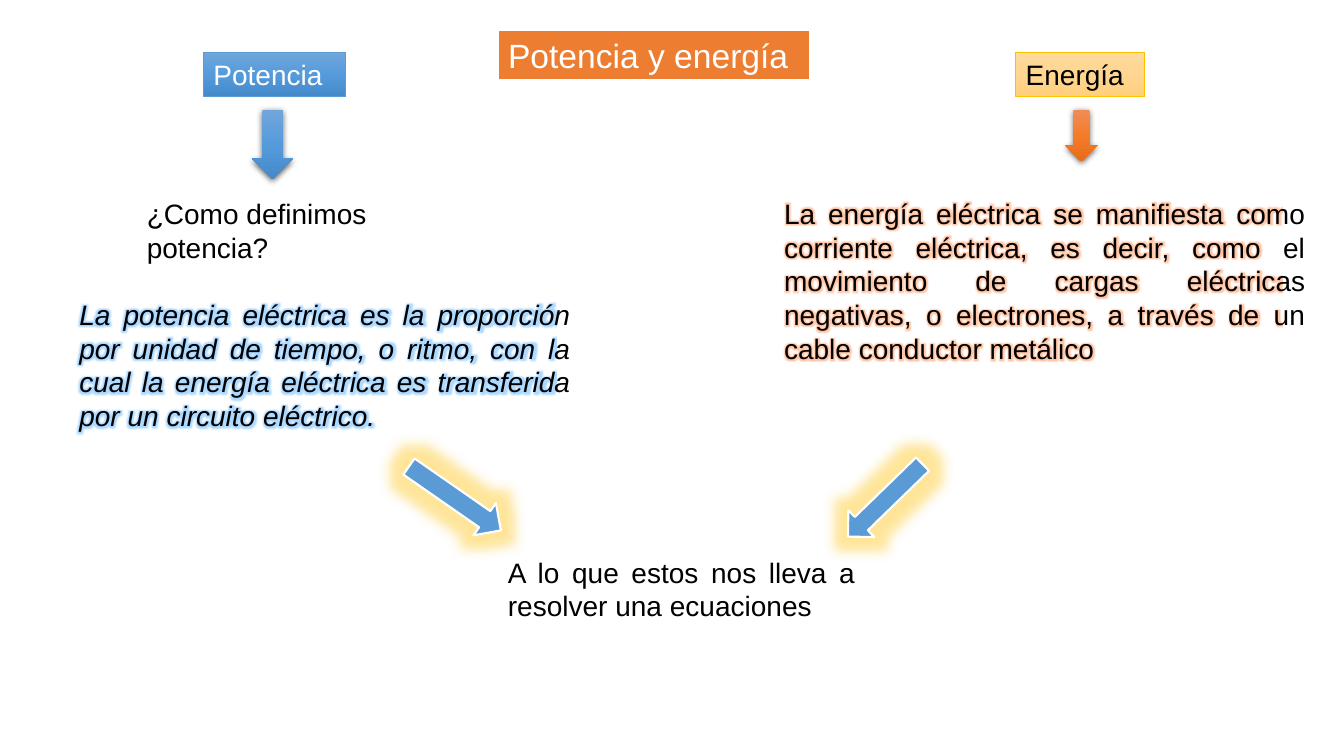
from copy import deepcopy
from dataclasses import dataclass

from lxml.etree import SubElement
from pptx import Presentation
from pptx.dml.color import RGBColor
from pptx.enum.shapes import MSO_SHAPE
from pptx.enum.text import MSO_ANCHOR, MSO_AUTO_SIZE, PP_ALIGN
from pptx.oxml import parse_xml
from pptx.oxml.ns import nsdecls, qn
from pptx.util import Cm, Emu, Pt


@dataclass(frozen=True)
class Theme:
    font: str = "Arial"
    head: int = 24
    body: int = 20
    dark: str = "000000"
    light: str = "FFFFFF"
    orange: str = "ED7D31"
    blue: str = "5B9BD5"
    gold: str = "FFC000"
    blues: tuple[str, ...] = ("71A6DB", "559BDB", "448ACA")
    reds: tuple[str, ...] = ("F18C57", "F67B28", "E56C19")
    golds: tuple[str, ...] = ("FFDB9E", "FFD590", "FFD07C")
    blue_glow: str = "31A0FF"
    red_glow: str = "FF6E1F"


THEME = Theme()


@dataclass(frozen=True)
class Box:
    left: float
    top: float
    width: float
    height: float

    def place(self) -> tuple[Emu, Emu, Emu, Emu]:
        return Cm(self.left), Cm(self.top), Cm(self.width), Cm(self.height)


@dataclass(frozen=True)
class Label:
    text: str
    box: Box
    shades: tuple[str, ...]
    edge: str
    ink: str


@dataclass(frozen=True)
class Note:
    text: str
    box: Box
    align: PP_ALIGN = PP_ALIGN.JUSTIFY
    slant: bool = False
    glow: str = ""


@dataclass(frozen=True)
class Arrow:
    box: Box
    shades: tuple[str, ...] = ()
    turn: float = 0


LABELS = (
    Label("Potencia", Box(5.13, 1.32, 3.58, 1.12), THEME.blues, THEME.blue, THEME.light),
    Label("Energía", Box(25.6, 1.32, 3.25, 1.12), THEME.golds, THEME.gold, THEME.dark),
)
NOTES = (
    Note("¿Como definimos potencia?", Box(3.45, 4.83, 8, 1.96), PP_ALIGN.LEFT),
    Note("La potencia eléctrica es la proporción por unidad de tiempo, o ritmo, "
         "con la cual la energía eléctrica es transferida por un circuito eléctrico.",
         Box(1.75, 7.37, 12.88, 3.68), slant=True, glow=THEME.blue_glow),
    Note("La energía eléctrica se manifiesta como corriente eléctrica, es decir, "
         "como el movimiento de cargas eléctricas negativas, o electrones, "
         "a través de un cable conductor metálico",
         Box(19.51, 4.83, 13.64, 4.52), glow=THEME.red_glow),
    Note("A lo que estos nos lleva a resolver una ecuaciones",
         Box(12.55, 13.87, 9.25, 1.96)),
)
ARROWS = (
    Arrow(Box(6.35, 2.77, 1.04, 1.75), THEME.blues),
    Arrow(Box(26.85, 2.77, 0.81, 1.3), THEME.reds),
    Arrow(Box(10.97, 11.15, 0.99, 2.82), turn=304.8),
    Arrow(Box(21.84, 11.3, 0.94, 2.62), turn=45.8),
)


def tint(tone: str) -> RGBColor:
    return RGBColor.from_string(tone)


def effect(kind: str, tone: str, alpha: int, **sizes: int):
    holder = parse_xml(f"<a:effectLst {nsdecls('a')}/>")
    item = SubElement(holder, qn(f"a:{kind}"), {k: str(v) for k, v in sizes.items()})
    shade = SubElement(item, qn("a:srgbClr"), val=tone)
    SubElement(shade, qn("a:alpha"), val=str(alpha * 1000))
    return holder


def glow(tone: str, size: int):
    return effect("glow", tone, 40, rad=Pt(size))


def paint(shape, shades: tuple[str, ...]) -> None:
    fill = shape.fill
    fill.gradient()
    fill.gradient_angle = 270
    first = shape._element.spPr.find(".//" + qn("a:gs"))
    first.addnext(deepcopy(first))
    for step, (stop, tone) in enumerate(zip(fill.gradient_stops, shades)):
        stop.color.rgb = tint(tone)
        stop.position = step / 2


def edge(shape, tone: str, width: float) -> None:
    shape.line.color.rgb = tint(tone)
    shape.line.width = Pt(width)


def write(shape, text: str, size: int, ink: str, align: PP_ALIGN = PP_ALIGN.LEFT):
    frame = shape.text_frame
    frame.word_wrap = True
    frame.auto_size = MSO_AUTO_SIZE.NONE
    frame.vertical_anchor = MSO_ANCHOR.TOP
    part = frame.paragraphs[0]
    part.alignment = align
    run = part.add_run()
    run.text = text
    run.font.name = THEME.font
    run.font.size = Pt(size)
    run.font.color.rgb = tint(ink)
    return run


def add_title(slide, text: str, box: Box) -> None:
    title = slide.shapes.title
    title.left, title.top, title.width, title.height = box.place()
    title.fill.solid()
    title.fill.fore_color.rgb = tint(THEME.orange)
    edge(title, THEME.light, 1.5)
    write(title, text, THEME.head, THEME.light)


def add_label(slide, label: Label) -> None:
    shape = slide.shapes.add_shape(MSO_SHAPE.RECTANGLE, *label.box.place())
    shape.shadow.inherit = False
    paint(shape, label.shades)
    edge(shape, label.edge, 0.5)
    write(shape, label.text, THEME.body, label.ink)


def add_note(slide, note: Note) -> None:
    shape = slide.shapes.add_textbox(*note.box.place())
    run = write(shape, note.text, THEME.body, THEME.dark, note.align)
    if note.slant:
        run.font.italic = True
    if note.glow:
        run._r.rPr.find(qn("a:solidFill")).addnext(glow(note.glow, 8))


def add_arrow(slide, arrow: Arrow) -> None:
    shape = slide.shapes.add_shape(MSO_SHAPE.DOWN_ARROW, *arrow.box.place())
    shape.rotation = arrow.turn
    if arrow.shades:
        paint(shape, arrow.shades)
        shape.line.fill.background()
        cast = effect("outerShdw", THEME.dark, 63, blurRad=Pt(4.5),
                      dist=Pt(1.5), dir=5400000, rotWithShape=0)
    else:
        shape.fill.solid()
        shape.fill.fore_color.rgb = tint(THEME.blue)
        edge(shape, THEME.light, 1.5)
        cast = glow(THEME.gold, 18)
    shape._element.spPr.append(cast)


def main() -> None:
    deck = Presentation()
    deck.slide_width, deck.slide_height = Cm(33.87), Cm(19.05)
    slide = deck.slides.add_slide(deck.slide_layouts[5])
    add_title(slide, "Potencia y energía", Box(12.55, 0.76, 7.87, 1.27))
    for label in LABELS:
        add_label(slide, label)
    for note in NOTES:
        add_note(slide, note)
    for arrow in ARROWS:
        add_arrow(slide, arrow)
    deck.save("out.pptx")


if __name__ == "__main__":
    main()
